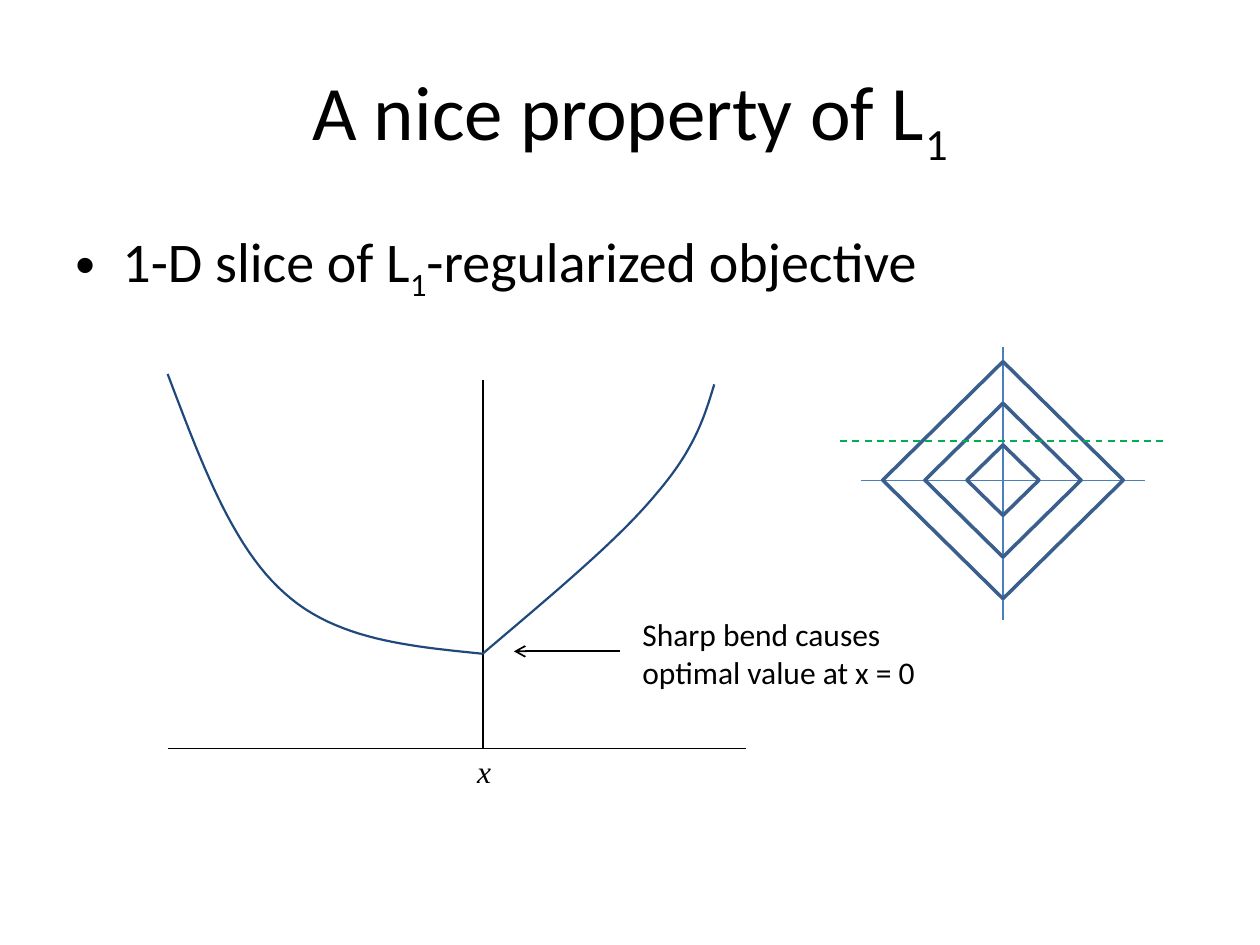
import dataclasses

import lxml.etree
import pptx
import pptx.dml.color
import pptx.enum.dml
import pptx.enum.shapes
import pptx.enum.text
import pptx.oxml.ns
import pptx.util

Cm = pptx.util.Cm
Point = tuple[float, float]


@dataclasses.dataclass(frozen=True)
class Theme:
    font: str = "Calibri"
    math_font: str = "Times New Roman"
    title_size: int = 44
    body_size: int = 32
    label_size: int = 18
    black: str = "000000"
    contour: str = "3A5F8C"
    contour_axis: str = "4B7EBC"
    slice_line: str = "00B050"
    curve: str = "1F497D"


@dataclasses.dataclass(frozen=True)
class Line:
    start: Point
    end: Point
    color: str
    width: float = 1
    dashed: bool = False
    arrow: bool = False


@dataclasses.dataclass(frozen=True)
class Curve:
    start: Point
    segments: tuple[tuple[Point, Point, Point], ...]


@dataclasses.dataclass(frozen=True)
class Label:
    box: tuple[float, float, float, float]
    paragraphs: tuple[tuple[str, ...], ...]
    size: int
    font: str
    wrap: bool = False
    centered: bool = False
    bullet: bool = False
    italic: bool = False


THEME = Theme()
CONTOUR_CENTER = (20.22, 9.68)
CONTOUR_SIZES = ((1.45, 1.42), (3.15, 3.1), (4.85, 4.78))
BEND = (9.73, 13.18)
BASELINE = 15.09
CURVE_STEPS = 24

CONTOUR_LINES = (
    Line((17.35, CONTOUR_CENTER[1]), (23.09, CONTOUR_CENTER[1]), THEME.contour_axis, 0.75),
    Line((CONTOUR_CENTER[0], 6.99), (CONTOUR_CENTER[0], 12.5), THEME.contour_axis, 0.75),
)
OBJECTIVE_LINES = (
    Line((16.94, 8.89), (23.5, 8.89), THEME.slice_line, dashed=True),
    Line((12.5, 13.13), (10.36, 13.13), THEME.black, arrow=True),
    Line((3.38, BASELINE), (15.04, BASELINE), THEME.black),
    Line((BEND[0], BASELINE), (BEND[0], 7.67), THEME.black),
)
CURVES = (
    Curve((3.38, 7.54), (
        ((4.04, 9.27), (4.67, 11.02), (5.74, 11.96)),
        ((6.78, 12.9), (8.26, 13.03), BEND),
    )),
    Curve(BEND, (
        ((11.07, 12.04), (12.45, 10.9), (13.21, 9.98)),
        ((14, 9.07), (14.2, 8.41), (14.4, 7.75)),
    )),
)
TITLE = Label((1.27, 0.76, 22.86, 3.18), (("A nice property of L", "1"),),
              THEME.title_size, THEME.font, wrap=True, centered=True)
BODY = Label((1.27, 4.45, 22.86, 12.57), (("1-D slice of L", "1", "-regularized objective"),),
             THEME.body_size, THEME.font, wrap=True, bullet=True)
BEND_NOTE = Label((12.7, 12.27, 6.07, 1.8),
                  (("Sharp bend causes",), ("optimal value at x = 0",)),
                  THEME.label_size, THEME.font)
AXIS_NAME = Label((9.37, 15.04, 0.79, 1.02), (("x",),),
                  THEME.label_size, THEME.math_font, italic=True)


def rgb(color: str) -> pptx.dml.color.RGBColor:
    return pptx.dml.color.RGBColor.from_string(color)


def add_child(parent, tag: str, **attributes: str) -> None:
    lxml.etree.SubElement(parent, pptx.oxml.ns.qn(tag), attributes)


def style_outline(shape, color: str, width: float) -> None:
    shape.line.color.rgb = rgb(color)
    shape.line.width = pptx.util.Pt(width)


def add_line(slide, line: Line) -> None:
    connector = slide.shapes.add_connector(
        pptx.enum.shapes.MSO_CONNECTOR.STRAIGHT,
        *(Cm(value) for value in line.start + line.end))
    style_outline(connector, line.color, line.width)
    if line.dashed:
        connector.line.dash_style = pptx.enum.dml.MSO_LINE.DASH
    properties = connector._element.spPr
    if line.arrow:
        add_child(properties.find(pptx.oxml.ns.qn("a:ln")), "a:tailEnd", type="arrow")
    add_child(properties, "a:effectLst")


def add_contour(slide, width: float, height: float) -> None:
    center_x, center_y = CONTOUR_CENTER
    diamond = slide.shapes.add_shape(
        pptx.enum.shapes.MSO_SHAPE.FLOWCHART_DECISION,
        Cm(center_x - width / 2), Cm(center_y - height / 2), Cm(width), Cm(height))
    diamond.shadow.inherit = False
    diamond.fill.background()
    style_outline(diamond, THEME.contour, 2)


def bezier_point(points: tuple[Point, ...], t: float) -> Point:
    weights = ((1 - t) ** 3, 3 * t * (1 - t) ** 2, 3 * t ** 2 * (1 - t), t ** 3)
    x, y = (sum(weight * value for weight, value in zip(weights, values))
            for values in zip(*points))
    return Cm(x), Cm(y)


def add_curve(slide, curve: Curve) -> None:
    builder = slide.shapes.build_freeform(*(Cm(value) for value in curve.start))
    start = curve.start
    for segment in curve.segments:
        builder.add_line_segments(
            [bezier_point((start, *segment), step / CURVE_STEPS)
             for step in range(1, CURVE_STEPS + 1)], close=False)
        start = segment[-1]
    shape = builder.convert_to_shape()
    shape.shadow.inherit = False
    shape.fill.background()
    style_outline(shape, THEME.curve, 1.25)


def add_label(slide, label: Label) -> None:
    text_frame = slide.shapes.add_textbox(*(Cm(value) for value in label.box)).text_frame
    text_frame.word_wrap = label.wrap
    if label.centered:
        text_frame.vertical_anchor = pptx.enum.text.MSO_ANCHOR.MIDDLE
    if not label.wrap:
        text_frame.auto_size = pptx.enum.text.MSO_AUTO_SIZE.SHAPE_TO_FIT_TEXT
    for index, pieces in enumerate(label.paragraphs):
        paragraph = text_frame.add_paragraph() if index else text_frame.paragraphs[0]
        if label.centered:
            paragraph.alignment = pptx.enum.text.PP_ALIGN.CENTER
        if label.bullet:
            properties = paragraph._p.get_or_add_pPr()
            properties.set("marL", str(Cm(0.95)))
            properties.set("indent", str(Cm(-0.95)))
            add_child(properties, "a:buFont", typeface="Arial")
            add_child(properties, "a:buChar", char="•")
        for position, piece in enumerate(pieces):
            run = paragraph.add_run()
            run.text = piece
            run.font.name = label.font
            run.font.size = pptx.util.Pt(label.size)
            run.font.italic = label.italic
            run.font.color.rgb = rgb(THEME.black)
            if position == 1:
                run._r.get_or_add_rPr().set("baseline", "-25000")


def main() -> None:
    presentation = pptx.Presentation()
    presentation.slide_width, presentation.slide_height = Cm(25.4), Cm(19.05)
    slide = presentation.slides.add_slide(presentation.slide_layouts[6])
    for label in (TITLE, BODY):
        add_label(slide, label)
    for line in CONTOUR_LINES:
        add_line(slide, line)
    for width, height in CONTOUR_SIZES:
        add_contour(slide, width, height)
    for line in OBJECTIVE_LINES:
        add_line(slide, line)
    for curve in CURVES:
        add_curve(slide, curve)
    for label in (BEND_NOTE, AXIS_NAME):
        add_label(slide, label)
    presentation.save("out.pptx")


if __name__ == "__main__":
    main()
